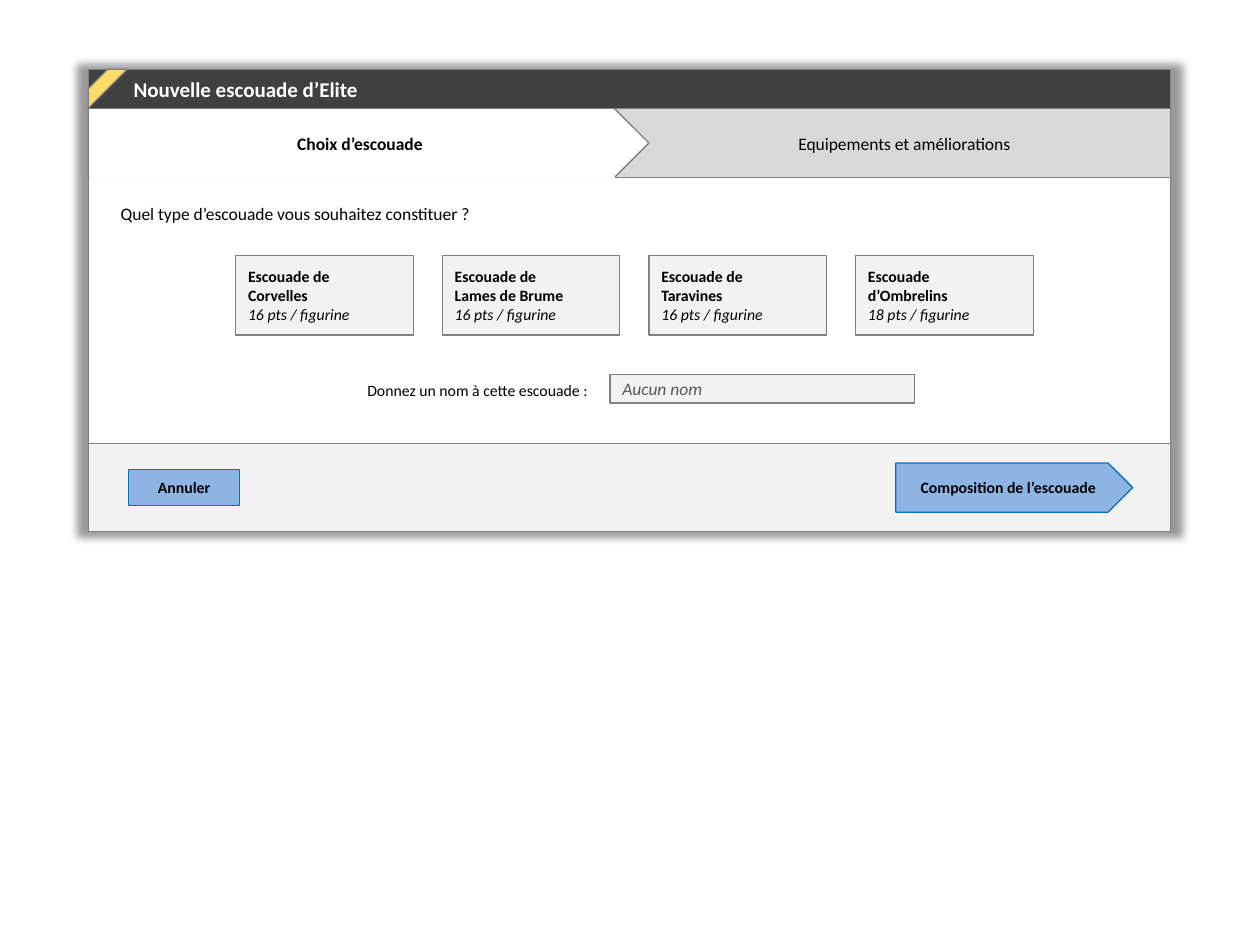
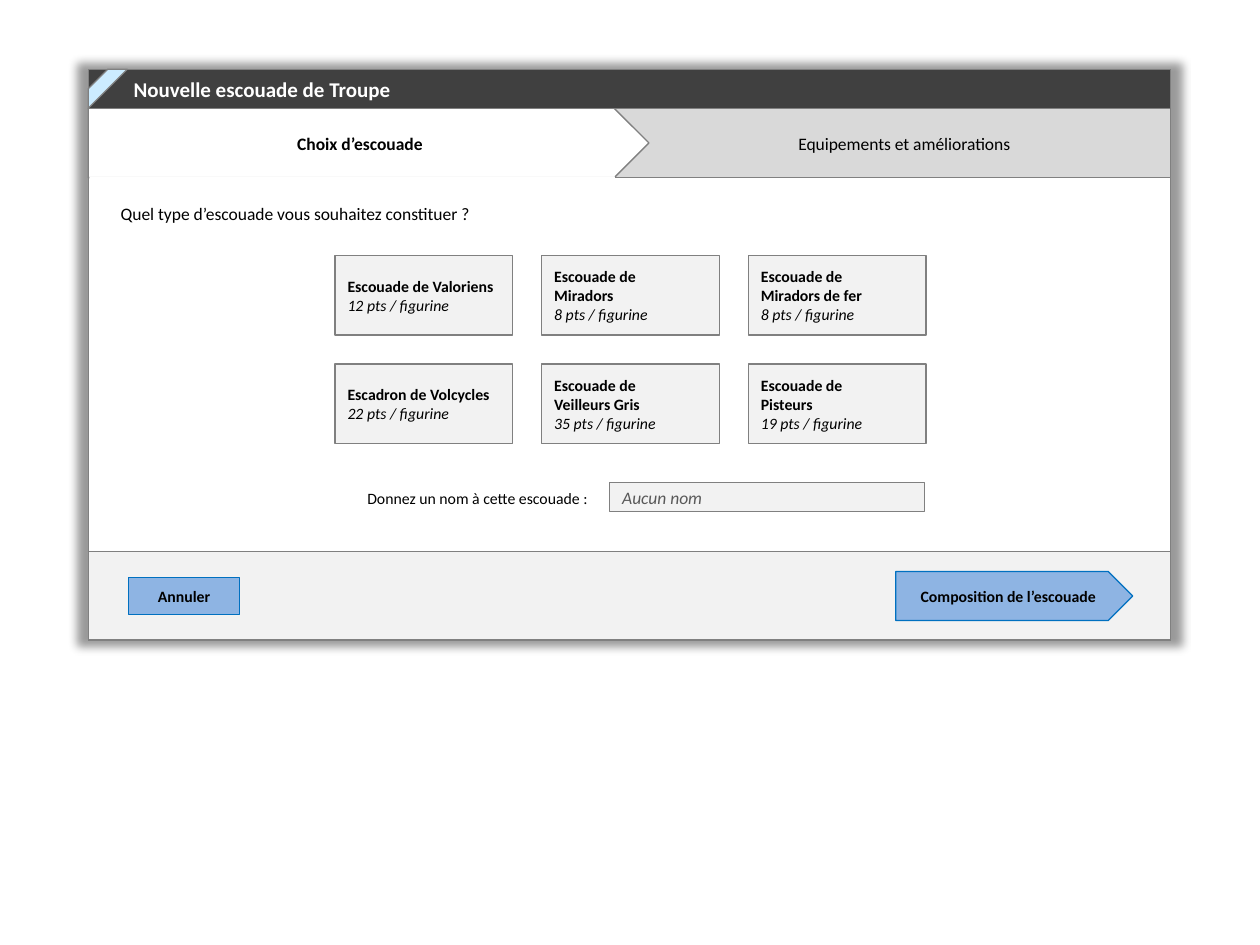
from lxml.etree import SubElement
from pptx import Presentation
from pptx.dml.color import RGBColor
from pptx.enum.shapes import MSO_SHAPE as Shape
from pptx.enum.text import MSO_ANCHOR as Anchor, PP_ALIGN as Align
from pptx.oxml.ns import qn
from pptx.util import Inches, Pt

# Content: title, stripe colour, left edge of the cards, name field width, card rows
TABS = ("Choix d’escouade", "Equipements et améliorations")
QUESTION = "Quel type d’escouade vous souhaitez constituer ?"
NAME_LABEL, NAME_HINT = "Donnez un nom à cette escouade :", "Aucun nom"
CANCEL, NEXT = "Annuler", "Composition de l’escouade"
DIALOGS = [
    dict(title="Nouvelle escouade d’Elite", stripe=RGBColor(0xFF, 0xDB, 0x69),
         cards_left=1.87, field_width=2.42, rows=[
             [("Escouade de", "Corvelles", 16), ("Escouade de", "Lames de Brume", 16),
              ("Escouade de", "Taravines", 16), ("Escouade", "d’Ombrelins", 18)]]),
    dict(title="Nouvelle escouade de Troupe", stripe=RGBColor(0xCC, 0xEC, 0xFF),
         cards_left=2.66, field_width=2.5, rows=[
             [("Escouade de Valoriens", 12), ("Escouade de", "Miradors", 8),
              ("Escouade de", "Miradors de fer", 8)],
             [("Escadron de Volcycles", 22), ("Escouade de", "Veilleurs Gris", 35),
              ("Escouade de", "Pisteurs", 19)]]),
]

# Look
FONT = "Calibri"
BLACK, WHITE = RGBColor(0, 0, 0), RGBColor(0xFF, 0xFF, 0xFF)
DARK, HINT = RGBColor(0x40, 0x40, 0x40), RGBColor(0x59, 0x59, 0x59)
EDGE, TAB = RGBColor(0x80, 0x80, 0x80), RGBColor(0xD9, 0xD9, 0xD9)
PALE = RGBColor(0xF2, 0xF2, 0xF2)
BUTTON, BUTTON_EDGE = RGBColor(0x8E, 0xB4, 0xE3), RGBColor(0x00, 0x70, 0xC0)

# Grid, in inches
SLIDE_W, SLIDE_H = 10, 7.5
LEFT, TOP, WIDTH = 0.7, 0.55, 8.59
TITLE_H, TAB_W, TAB_H, FOOTER_H = 0.31, 4.45, 0.55, 0.7
TAB_TOP = TOP + TITLE_H
CARD_W, CARD_H, CARD_TOP = 1.41, 0.63, 2.03
STEP_X, STEP_Y = 1.64, 0.86
FIELD_LEFT = LEFT + WIDTH - TAB_W


def write(sp, lines, align=Align.LEFT, anchor=Anchor.MIDDLE, inset=0.1):
    """Fill a shape with one paragraph per (text, size, colour, bold, italic)."""
    tf = sp.text_frame
    tf.word_wrap, tf.vertical_anchor = True, anchor
    tf.margin_left = Inches(inset)
    for i, (text, size, color, bold, italic) in enumerate(lines):
        p = tf.add_paragraph() if i else tf.paragraphs[0]
        p.alignment = align
        r = p.add_run()
        r.text = text
        f = r.font
        f.name, f.size, f.bold, f.italic = FONT, Pt(size), bold, italic
        f.color.rgb = color


def line(text, size, color=BLACK, bold=False, italic=False):
    """Describe one line of text."""
    return text, size, color, bold, italic


def box(s, x, y, w, h, fill, edge=EDGE, kind=Shape.RECTANGLE):
    """Draw a flat filled shape, outlined unless edge is None."""
    sp = s.shapes.add_shape(kind, Inches(x), Inches(y), Inches(w), Inches(h))
    sp.shadow.inherit = False
    sp.fill.solid()
    sp.fill.fore_color.rgb = fill
    if edge is None:
        sp.line.fill.background()
    else:
        sp.line.color.rgb, sp.line.width = edge, Pt(0.75)
    return sp


def label(s, x, y, w, h, text, size, align=Align.LEFT):
    """Place plain text with no box around it."""
    sp = s.shapes.add_textbox(Inches(x), Inches(y), Inches(w), Inches(h))
    write(sp, [line(text, size)], align, Anchor.TOP)


def glow(sp):
    """Put a soft shadow all round a shape."""
    effects = sp._element.spPr.find(qn("a:effectLst"))
    shadow = SubElement(effects, qn("a:outerShdw"), blurRad=str(Pt(5)),
                        sx="102000", sy="102000", algn="ctr", rotWithShape="0")
    color = SubElement(shadow, qn("a:srgbClr"), val=str(BLACK))
    SubElement(color, qn("a:alpha"), val="40000")


def header(s, title, stripe):
    """Draw the title bar and the two step tabs."""
    tab = box(s, FIELD_LEFT, TAB_TOP, TAB_W, TAB_H, TAB)
    write(tab, [line(TABS[1], 10)], Align.CENTER, inset=0.32)
    tab = box(s, LEFT, TAB_TOP, TAB_W, TAB_H, WHITE, kind=Shape.PENTAGON)
    write(tab, [line(TABS[0], 10, bold=True)], Align.CENTER)
    box(s, LEFT + 0.01, TAB_TOP + TAB_H - 0.01, 4.17, 0.09, WHITE, None)
    bar = box(s, LEFT, TOP, WIDTH, TITLE_H, DARK)
    write(bar, [line(title, 12, WHITE, bold=True)], inset=0.36)
    box(s, LEFT, TOP, TITLE_H, TITLE_H, stripe, kind=Shape.DIAGONAL_STRIPE)


def footer(s, top):
    """Draw the bottom band and its two buttons."""
    box(s, LEFT, top, WIDTH, FOOTER_H, PALE)
    for text, x, w, h, kind in ((NEXT, 7.11, 1.88, 0.39, Shape.PENTAGON),
                                (CANCEL, 1.02, 0.88, 0.29, Shape.RECTANGLE)):
        sp = box(s, x, top + (FOOTER_H - h) / 2, w, h, BUTTON, BUTTON_EDGE, kind)
        write(sp, [line(text, 9, bold=True)], Align.CENTER)


def dialog(s, title, stripe, cards_left, field_width, rows):
    """Draw one squad dialog, as tall as its rows of cards need."""
    name_top = CARD_TOP + len(rows) * STEP_Y + 0.08
    footer_top = name_top + 0.55
    glow(box(s, LEFT, TOP, WIDTH, footer_top + FOOTER_H - TOP, WHITE))
    footer(s, footer_top)
    header(s, title, stripe)
    label(s, 0.86, 1.56, 4.3, 0.27, QUESTION, 10)
    for i, row in enumerate(rows):
        for j, (*names, points) in enumerate(row):
            card = box(s, cards_left + j * STEP_X, CARD_TOP + i * STEP_Y,
                       CARD_W, CARD_H, PALE)
            write(card, [line(name, 9, bold=True) for name in names]
                  + [line(f"{points} pts / figurine", 9, italic=True)])
    label(s, 2.81, name_top, 1.95, 0.25, NAME_LABEL, 9, Align.RIGHT)
    field = box(s, FIELD_LEFT, name_top, field_width, 0.23, PALE)
    write(field, [line(NAME_HINT, 10, HINT, italic=True)])


prs = Presentation()
prs.slide_width, prs.slide_height = Inches(SLIDE_W), Inches(SLIDE_H)
for content in DIALOGS:
    dialog(prs.slides.add_slide(prs.slide_layouts[6]), **content)
prs.save("out.pptx")
